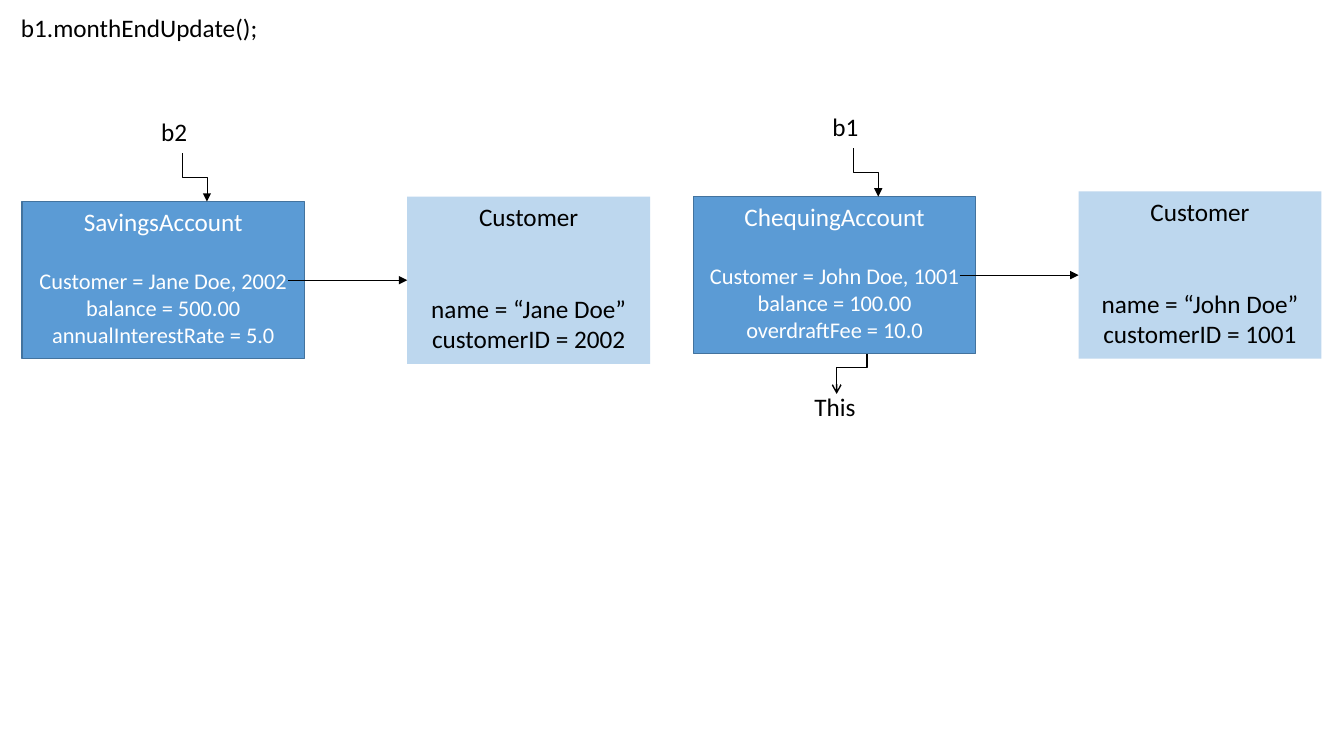
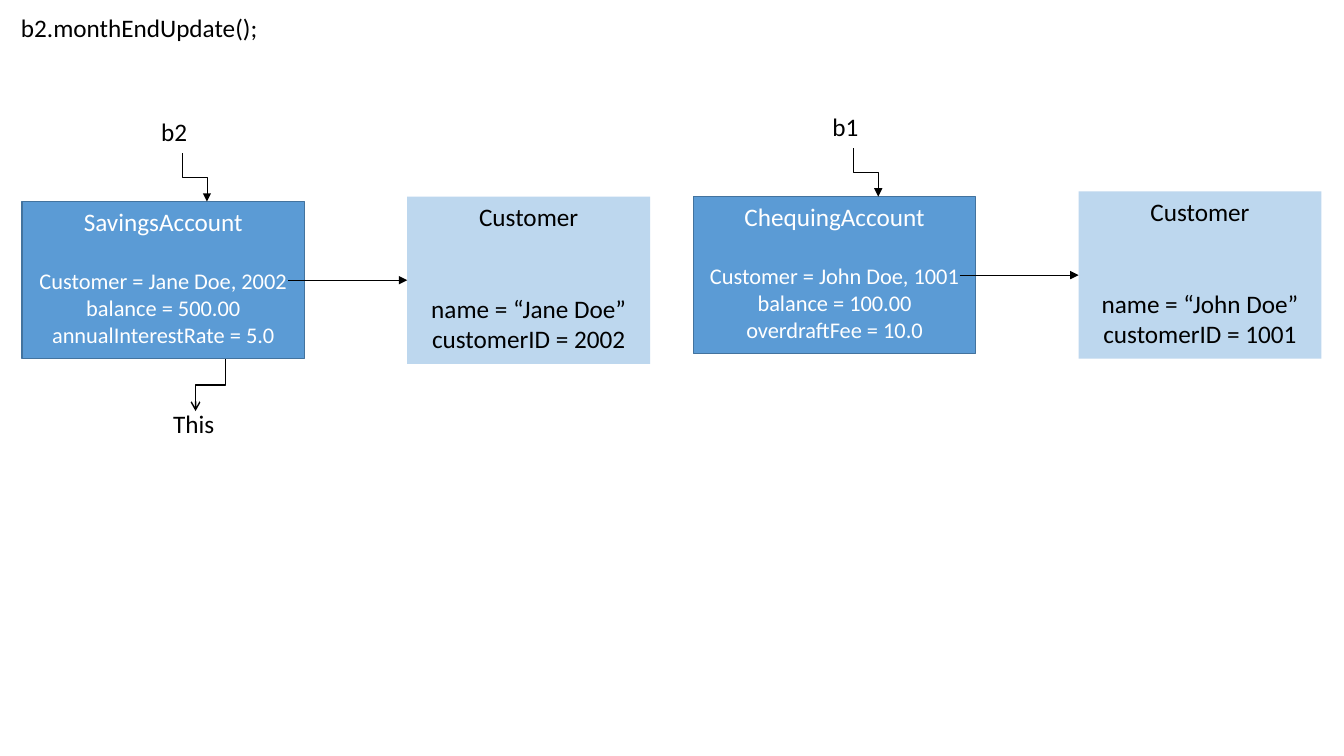
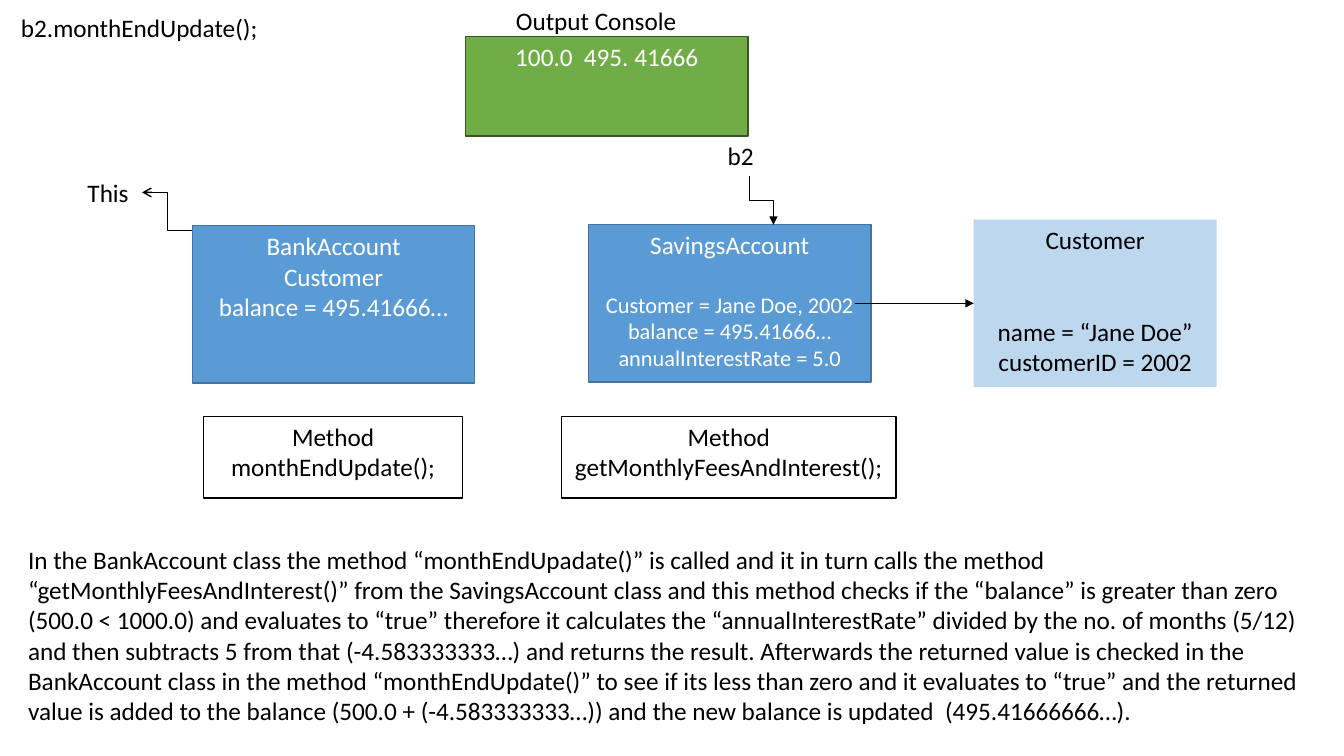
import dataclasses

import lxml.etree
import pptx
import pptx.dml.color
import pptx.enum.shapes
import pptx.enum.text
import pptx.oxml.ns
import pptx.util


@dataclasses.dataclass(frozen=True)
class Theme:
    font: str = "Calibri"
    body: int = 18
    detail: int = 16
    blank_line: int = 22
    thin: float = 0.5
    line: float = 1
    black: str = "000000"
    plain: tuple = (None, None, "000000")
    framed: tuple = (None, "000000", "000000")
    account: tuple = ("5B9BD5", "43739E", "FFFFFF")
    customer: tuple = ("BDD7EE", None, "000000")
    console: tuple = ("70AD47", "385723", "FFFFFF")


theme = Theme()
presentation = pptx.Presentation()
presentation.slide_width = pptx.util.Inches(13.33)
presentation.slide_height = pptx.util.Inches(7.5)
cell = presentation.slide_width / 40


def add_block(slide, area, paragraphs, style):
    left, top, width, height = [round(length * cell) for length in area]
    fill, line, ink = style
    if style == theme.plain:
        shape = slide.shapes.add_textbox(left, top, width, height)
    else:
        shape = slide.shapes.add_shape(
            pptx.enum.shapes.MSO_SHAPE.RECTANGLE, left, top, width, height)
        shape.shadow.inherit = False
        if fill:
            shape.fill.solid()
            shape.fill.fore_color.rgb = pptx.dml.color.RGBColor.from_string(fill)
        else:
            shape.fill.background()
        if line:
            shape.line.color.rgb = pptx.dml.color.RGBColor.from_string(line)
            shape.line.width = pptx.util.Pt(theme.line)
        else:
            shape.line.fill.background()
    frame = shape.text_frame
    frame.word_wrap = True
    frame.vertical_anchor = pptx.enum.text.MSO_ANCHOR.TOP
    for index, (text, size, blank_lines) in enumerate(paragraphs):
        paragraph = frame.add_paragraph() if index else frame.paragraphs[0]
        paragraph.text = text
        paragraph.space_before = pptx.util.Pt(blank_lines * theme.blank_line)
        paragraph.font.name = theme.font
        paragraph.font.size = pptx.util.Pt(size)
        paragraph.font.color.rgb = pptx.dml.color.RGBColor.from_string(ink)
        if style != theme.plain:
            paragraph.alignment = pptx.enum.text.PP_ALIGN.CENTER


def add_arrow(slide, start, end, head, weight, route="straight"):
    kind = pptx.enum.shapes.MSO_CONNECTOR.ELBOW
    if route == "straight":
        kind = pptx.enum.shapes.MSO_CONNECTOR.STRAIGHT
    (start_x, start_y), (end_x, end_y) = start, end
    if route == "down":
        middle_x, middle_y = (start_x + end_x) / 2, (start_y + end_y) / 2
        half_x, half_y = (end_x - start_x) / 2, (end_y - start_y) / 2
        start_x, start_y = middle_x - half_y, middle_y + half_x
        end_x, end_y = middle_x + half_y, middle_y - half_x
    connector = slide.shapes.add_connector(
        kind, *[round(length * cell) for length in (start_x, start_y, end_x, end_y)])
    connector.line.color.rgb = pptx.dml.color.RGBColor.from_string(theme.black)
    connector.line.width = pptx.util.Pt(weight)
    qualify = pptx.oxml.ns.qn
    properties = connector._element.spPr
    if route == "down":
        properties.find(qualify("a:xfrm")).set("rot", str(90 * 60000))
    lxml.etree.SubElement(properties.find(qualify("a:ln")), qualify("a:tailEnd"), type=head)
    lxml.etree.SubElement(properties, qualify("a:effectLst"))


savings = ("b2", "SavingsAccount", "Jane Doe", "2002", "balance = 500.00", "annualInterestRate = 5.0")
updated = savings[:4] + ("balance = 495.41666…",) + savings[5:]
chequing = ("b1", "ChequingAccount", "John Doe", "1001", "balance = 100.00", "overdraftFee = 10.0")
both_accounts = [(0.66, 6, savings), (20.64, 5.85, chequing)]

scenes = [
    ("b1.monthEndUpdate();", (23.94, 11.49), "down", (1.86, -1.32), (0.96, 0.24), both_accounts),
    ("b2.monthEndUpdate();", (4.86, 12), "down", (1.86, -1.32), (0.96, 0.24), both_accounts),
    ("b2.monthEndUpdate();", (2.31, 5.13), "across", (3.42, 1.74), (1.92, 0.6), [(17.52, 6.69, updated)]),
]

for call, (this_left, this_top), route, tail, tip, accounts in scenes:
    slide = presentation.slides.add_slide(presentation.slide_layouts[6])
    add_block(slide, (0.33, 0.21, 8, 1.2), [(call, theme.body, 0)], theme.plain)
    add_block(slide, (this_left, this_top, 2.2, 1.2), [("This", theme.body, 0)], theme.plain)
    add_arrow(slide, (this_left + tail[0], this_top + tail[1]),
              (this_left + tip[0], this_top + tip[1]), "arrow", theme.line, route)
    for left, top, (variable, title, owner, number, balance, rate) in accounts:
        add_block(slide, (left, top, 8.4, 4.68), [
            (title, theme.body, 0),
            (f"Customer = {owner}, {number}", theme.detail, 1),
            (balance, theme.detail, 0),
            (rate, theme.detail, 0)], theme.account)
        add_block(slide, (left + 3.84, top - 2.67, 1.9, 1.2),
                  [(variable, theme.body, 0)], theme.plain)
        add_arrow(slide, (left + 4.77, top - 1.44), (left + 5.5, top),
                  "triangle", theme.thin, "down")
        add_block(slide, (left + 11.46, top - 0.15, 7.23, 4.98), [
            ("Customer", theme.body, 0),
            (f"name = “{owner}”", theme.body, 2),
            (f"customerID = {number}", theme.body, 0)], theme.customer)
        add_arrow(slide, (left + 7.92, top + 2.34), (left + 11.46, top + 2.34),
                  "triangle", theme.thin)

explanation = (
    "In the BankAccount class the method “monthEndUpadate()” is called and it in turn calls "
    "the method “getMonthlyFeesAndInterest()” from the SavingsAccount class and this method "
    "checks if the “balance” is greater than zero (500.0 < 1000.0) and evaluates to “true” "
    "therefore it calculates the “annualInterestRate” divided by the no. of months (5/12) and "
    "then subtracts 5 from that (-4.583333333…) and returns the result. Afterwards the returned "
    "value is checked in the BankAccount class in the method “monthEndUpdate()” to see if its "
    "less than zero and it evaluates to “true” and the returned value is added to the balance "
    "(500.0 + (-4.583333333…)) and the new balance is updated  (495.41666666…).")

for area, lines, style in [
    ((5.73, 6.72, 8.4, 4.68), ["BankAccount", "Customer", "balance = 495.41666…"], theme.account),
    ((6.06, 12.39, 7.71, 2.43), ["Method", "monthEndUpdate();"], theme.framed),
    ((16.71, 12.39, 9.96, 2.43), ["Method", "getMonthlyFeesAndInterest();"], theme.framed),
    ((13.86, 1.08, 8.4, 2.97), ["100.0  495. 41666"], theme.console),
    ((15.06, 0, 7.23, 1.2), ["Output Console"], theme.plain),
    ((0.54, 16.05, 38.91, 5.76), [explanation], theme.plain),
]:
    add_block(slide, area, [(line, theme.body, 0) for line in lines], style)

presentation.save("out.pptx")
